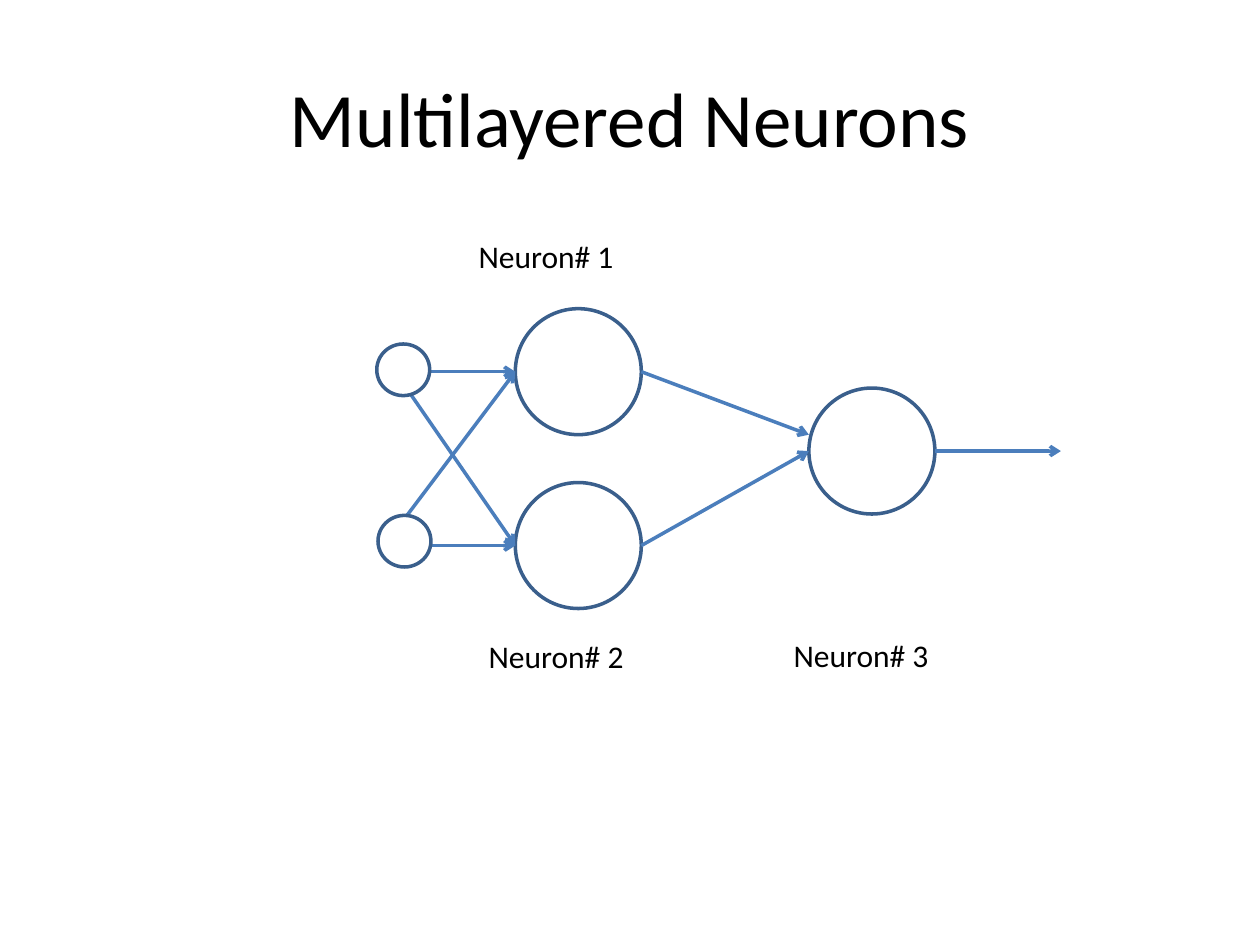
from dataclasses import dataclass
from lxml.etree import SubElement
from pptx import Presentation
from pptx.dml.color import RGBColor
from pptx.enum.shapes import MSO_CONNECTOR, MSO_SHAPE
from pptx.enum.text import MSO_ANCHOR, PP_ALIGN
from pptx.oxml.ns import qn
from pptx.util import Inches, Pt


@dataclass(frozen=True)
class Theme:
    font: str = "Calibri"
    text: RGBColor = RGBColor(0x00, 0x00, 0x00)
    fill: RGBColor = RGBColor(0xFF, 0xFF, 0xFF)
    outline: RGBColor = RGBColor(0x3A, 0x5F, 0x8C)
    arrow: RGBColor = RGBColor(0x4B, 0x7E, 0xBC)
    title_size: Pt = Pt(44)
    label_size: Pt = Pt(18)
    line_width: Pt = Pt(2)


theme = Theme()


def add_text(page, text, left, top, width, height, size, frame_format, alignment):
    box = page.shapes.add_textbox(Inches(left), Inches(top), Inches(width), Inches(height))
    for name, value in frame_format.items():
        setattr(box.text_frame, name, value)
    para = box.text_frame.paragraphs[0]
    para.alignment = alignment
    span = para.add_run()
    span.text = text
    for name, value in {"name": theme.font, "size": size}.items():
        setattr(span.font, name, value)
    span.font.color.rgb = theme.text


def add_circle(page, left, top, width, height):
    circle = page.shapes.add_shape(
        MSO_SHAPE.OVAL, Inches(left), Inches(top), Inches(width), Inches(height)
    )
    circle.shadow.inherit = False
    circle.fill.solid()
    circle.fill.fore_color.rgb = theme.fill
    circle.line.color.rgb = theme.outline
    circle.line.width = theme.line_width


deck = Presentation()
deck.slide_width, deck.slide_height = Inches(10), Inches(7.5)
page = deck.slides.add_slide(deck.slide_layouts[6])

title_format = {"word_wrap": True, "vertical_anchor": MSO_ANCHOR.MIDDLE}
add_text(page, "Multilayered Neurons", 0.5, 0.3, 9, 1.25,
         theme.title_size, title_format, PP_ALIGN.CENTER)

hidden_left, output_left, diameter = 4.09, 6.42, 1
hidden_right, output_right = hidden_left + diameter, output_left + diameter
input_x = 3.08
upper_y, output_y, lower_y = 2.95, 3.58, 4.33

for left, center_y in [(hidden_left, upper_y), (hidden_left, lower_y), (output_left, output_y)]:
    add_circle(page, left, center_y - diameter / 2, diameter, diameter)

arrows = [
    (input_x, upper_y, hidden_left, upper_y),
    (hidden_right, upper_y, output_left, 3.45),
    (input_x, lower_y, hidden_left, lower_y),
    (hidden_right, lower_y, output_left, output_y),
    (output_right, output_y, output_right + 1, output_y),
    (input_x, 2.87, hidden_left, lower_y),
    (input_x, 4.29, hidden_left, upper_y),
]
for ends in arrows:
    arrow = page.shapes.add_connector(MSO_CONNECTOR.STRAIGHT, *map(Inches, ends))
    arrow.line.color.rgb = theme.arrow
    arrow.line.width = theme.line_width
    properties = arrow._element.spPr
    SubElement(properties.find(qn("a:ln")), qn("a:tailEnd"), type="arrow")
    SubElement(properties, qn("a:effectLst"))

labels = [(3.7, 1.83), (3.78, 5.01), (6.2, 5)]
for number, (left, top) in enumerate(labels, start=1):
    add_text(page, f"Neuron# {number}", left, top, 1.89, 0.4,
             theme.label_size, {"word_wrap": True}, PP_ALIGN.LEFT)

for left, top in [(2.99, 2.73), (3, 4.09)]:
    add_circle(page, left, top, 0.42, 0.41)

deck.save("out.pptx")
